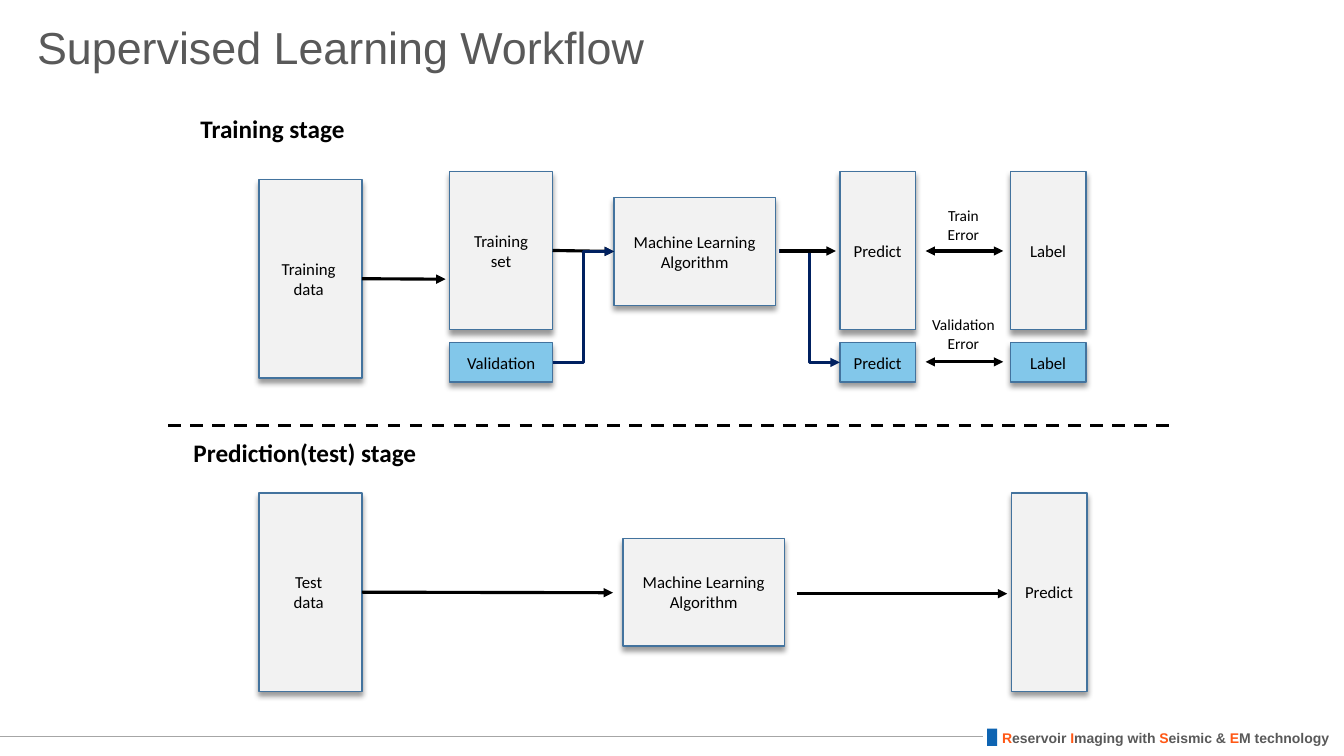
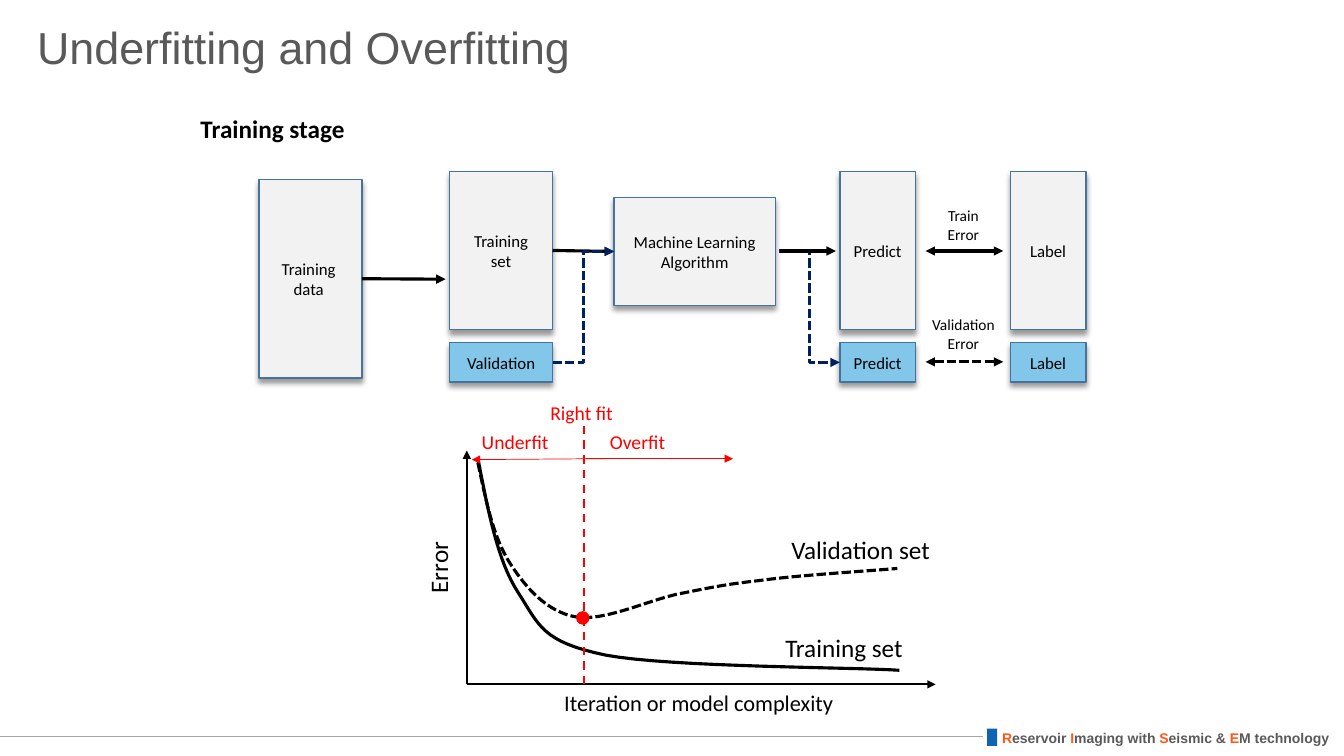
from lxml import etree
from pptx import Presentation
from pptx import util as u
from pptx.dml.color import RGBColor
from pptx.enum import dml, shapes, text
from pptx.oxml.ns import qn

PX = 9144  # EMU per px, 100 px to the inch
LEFT, RIGHT = 1, 3  # connection sites of a rectangle
CENTER = text.PP_ALIGN.CENTER
DASH, SHORT_DASH = dml.MSO_LINE.DASH, dml.MSO_LINE.SQUARE_DOT


class Theme:
    BLACK, RED, NAVY = "000000", "FF0000", "002060"
    GREY, ORANGE, BLUE, RULE = "595959", "FF5815", "0E64B2", "A6A6A6"
    PALE, SKY, EDGE = "F2F2F2", "82C7EA", "43739E"
    THICK, AXIS, BORDER, THIN = 2.25, 1.5, 1, 0.5
    # style: font values, then paragraph values, then frame values
    STYLES = {
        "title": (dict(name="Arial", size=32), GREY, dict(line_spacing=0.9),
                  dict(vertical_anchor=text.MSO_ANCHOR.MIDDLE)),
        "footer": (dict(name="Arial", size=10, bold=True), GREY, {}, dict(word_wrap=False)),
        "stage": (dict(size=18, bold=True), BLACK, {}, {}),
        "box": (dict(size=12), BLACK, dict(alignment=CENTER),
                dict(vertical_anchor=text.MSO_ANCHOR.MIDDLE)),
        "error": (dict(size=11), BLACK, dict(alignment=CENTER), {}),
        "x axis": (dict(size=16), BLACK, dict(alignment=CENTER), {}),
        "y axis": (dict(size=18), BLACK, dict(alignment=CENTER), {}),
        "curve": (dict(size=18), BLACK, {}, {}),
        "fit": (dict(size=14), RED, {}, dict(word_wrap=False)),
    }


T = Theme

# ---- Content: shared frame
FOOTER = [("R", T.ORANGE), ("eservoir ", T.GREY), ("I", T.ORANGE), ("maging with ", T.GREY),
          ("S", T.ORANGE), ("eismic & ", T.GREY), ("E", T.ORANGE), ("M technology", T.GREY)]

# ---- Content: training stage, boxes as name: (text, left, top, width, height, fill)
TRAINING_BOXES = {
    "set": ("Training\nset", 446, 170, 102, 157, T.PALE),
    "data": ("Training \ndata ", 257, 178, 102, 197, T.PALE),
    "validation": ("Validation", 446, 340, 102, 39, T.SKY),
    "label": ("Label", 1002, 170, 75, 157, T.PALE),
    "validation label": ("Label", 1002, 340, 75, 39, T.SKY),
    "predict": ("Predict", 833, 170, 75, 157, T.PALE),
    "validation predict": ("Predict", 833, 340, 75, 39, T.SKY),
    "algorithm": ("Machine Learning Algorithm", 609, 196, 160, 107, T.PALE),
}
# links as (start, end, arrowheads); an end is (box name, side) or a point
TRAINING_LINKS = [
    (("data", RIGHT), (442, 277), "tail"),
    (("set", RIGHT), ("algorithm", LEFT), "tail"),
    ((918, 249), (995, 249), "both"),
]
VALIDATION_ELBOWS = [
    (("validation", RIGHT), ("algorithm", LEFT)),
    ((773, 249), ("validation predict", LEFT)),
]
PREDICT_LINK = ((774, 249), (829, 249), "tail")
VALIDATION_ERROR_LINK = ((918, 359), (995, 359), "both")
TRAINING_LABELS = [
    ("Training stage", 189, 108, 244, 40, "stage"),
    ("Train\nError", 914, 200, 83, 47, "error"),
    ("Validation\nError", 908, 308, 95, 47, "error"),
]

# ---- Content: prediction stage
TEST_BOXES = {
    "data": ("Test \ndata ", 257, 489, 102, 197, T.PALE),
    "predict": ("Predict", 1003, 489, 75, 197, T.PALE),
    "algorithm": ("Machine Learning Algorithm", 618, 534, 160, 107, T.PALE),
}
TEST_LINKS = [
    (("data", RIGHT), (608, 588), "tail"),
    ((790, 589), (999, 589), "tail"),
]
STAGE_DIVIDER = (167, 422), (1167, 422)
TEST_LABEL = ("Prediction(test) stage", 182, 429, 335, 40, "stage")

# ---- Content: error curves, each a start point and its cubic segments
ORIGIN = (463, 679)
AXIS_ENDS = [(928, 679), (463, 447)]
TRAINING_CURVE = [(474, 455),
                  (484, 506), (493, 556), (514, 588),
                  (535, 621), (538, 637), (601, 650),
                  (664, 662), (849, 662), (892, 665)]
VALIDATION_CURVE = [(474, 459),
                    (482, 496), (489, 533), (506, 559),
                    (522, 584), (543, 607), (571, 612),
                    (599, 617), (644, 595), (674, 589),
                    (705, 583), (717, 580), (753, 576),
                    (789, 571), (840, 568), (890, 564)]
RIGHT_FIT_LINE = (579, 679), (579, 418)
FIT_ARROWS = [((581, 455), (727, 455)), ((600, 455), (468, 456))]
RIGHT_FIT_DOT = (572, 607, 12, 12)
CURVE_LABELS = [
    ("Iteration or model complexity", 494, 679, 398, 37, "x axis"),
    ("Training set", 769, 622, 174, 40, "curve"),
    ("Validation set", 775, 525, 174, 40, "curve"),
    ("Overfit", 595, 422, 76, 34, "fit"),
    ("Underfit", 468, 422, 87, 34, "fit"),
    ("Right fit", 536, 393, 83, 34, "fit"),
]
ERROR_AXIS_LABEL = ("Error", 332, 543, 205, 40, "y axis")


# ---- Helpers
def emu(*lengths):
    return [u.Emu(round(length * PX)) for length in lengths]


def apply(target, values):
    for key, value in values.items():
        setattr(target, key, value)


def add_runs(frame, paragraphs, style):
    """Write paragraphs, each a list of (words, colour or None)."""
    font, color, paragraph_format, frame_format = T.STYLES[style]
    apply(frame, {"word_wrap": True, **frame_format})
    for i, runs in enumerate(paragraphs):
        paragraph = frame.paragraphs[0] if i == 0 else frame.add_paragraph()
        apply(paragraph, paragraph_format)
        for words, run_color in runs:
            run = paragraph.add_run()
            run.text = words
            apply(run.font, {"name": "Calibri", **font, "size": u.Pt(font["size"])})
            run.font.color.rgb = RGBColor.from_string(run_color or color)


def plain(words):
    return [[(line, None)] for line in words.split("\n")]


def add_label(slide, words, x, y, w, h, style):
    label = slide.shapes.add_textbox(*emu(x, y, w, h))
    add_runs(label.text_frame, plain(words), style)
    return label


def stroke(line, color, width, dash=None):
    line.color.rgb = RGBColor.from_string(color)
    line.width = u.Pt(width)
    if dash:
        line.dash_style = dash


def add_figure(slide, kind, area, fill, edge=None):
    figure = slide.shapes.add_shape(kind, *emu(*area))
    figure.shadow.inherit = False
    figure.fill.solid()
    figure.fill.fore_color.rgb = RGBColor.from_string(fill)
    if edge:
        stroke(figure.line, edge, T.BORDER)
    else:
        figure.line.fill.background()
    return figure


def add_box(slide, words, x, y, w, h, fill):
    box = add_figure(slide, shapes.MSO_SHAPE.RECTANGLE, (x, y, w, h), fill, T.EDGE)
    effects = box._element.spPr.find(qn("a:effectLst"))
    shadow = etree.SubElement(effects, qn("a:outerShdw"), blurRad=str(u.Pt(4)),
                              dist=str(u.Pt(3)), dir="5400000", rotWithShape="0")
    shade = etree.SubElement(shadow, qn("a:srgbClr"), val=T.BLACK)
    etree.SubElement(shade, qn("a:alpha"), val="40000")
    add_runs(box.text_frame, plain(words), "box")
    return box


def add_line(slide, start, end, heads="", color=T.BLACK, width=T.THICK, dash=None,
             boxes=None, kind=shapes.MSO_CONNECTOR.STRAIGHT):
    def locate(place):
        if not isinstance(place[0], str):
            return emu(*place)
        box = boxes[place[0]]
        return [box.left + (box.width if place[1] == RIGHT else 0), box.top + box.height // 2]

    line = slide.shapes.add_connector(kind, *locate(start), *locate(end))
    for place, connect in ((start, line.begin_connect), (end, line.end_connect)):
        if isinstance(place[0], str):
            connect(boxes[place[0]], place[1])
    stroke(line.line, color, width, dash)
    ends = {"tail": ["a:tailEnd"], "both": ["a:headEnd", "a:tailEnd"]}.get(heads, [])
    for tag in ends:
        etree.SubElement(line.line._get_or_add_ln(), qn(tag), type="triangle")
    etree.SubElement(line._element.spPr, qn("a:effectLst"))


def add_curve(slide, points, dash=None, steps=16):
    path = [points[0]]
    for i in range(0, len(points) - 1, 3):
        segment = points[i:i + 4]
        for step in range(1, steps + 1):
            t = step / steps
            weights = ((1 - t) ** 3, 3 * t * (1 - t) ** 2, 3 * t * t * (1 - t), t ** 3)
            path.append(tuple(sum(k * p[axis] for k, p in zip(weights, segment))
                              for axis in (0, 1)))
    path = [emu(*point) for point in path]
    builder = slide.shapes.build_freeform(*path[0])
    builder.add_line_segments(path[1:], close=False)
    curve = builder.convert_to_shape()
    curve.shadow.inherit = False
    curve.fill.background()
    stroke(curve.line, T.BLACK, T.THICK, dash)


# ---- Slide parts
def add_slide(deck, title):
    slide = deck.slides.add_slide(deck.slide_layouts[6])
    footer = slide.shapes.add_textbox(*emu(984, 719, 348, 27))
    add_runs(footer.text_frame, [FOOTER], "footer")
    add_line(slide, (975, 731), (0, 731), color=T.RULE, width=T.THIN)
    add_figure(slide, shapes.MSO_SHAPE.RECTANGLE, (979, 723, 10, 17), T.BLUE)
    add_label(slide, title, 27, 13, 1150, 73, "title")
    return slide


def add_flow(slide, boxes, links):
    placed = {name: add_box(slide, *box) for name, box in boxes.items()}
    for link in links:
        add_line(slide, *link, boxes=placed)
    return placed


def add_training_stage(slide, validation_dash=None):
    placed = add_flow(slide, TRAINING_BOXES, TRAINING_LINKS)
    for start, end in VALIDATION_ELBOWS:
        add_line(slide, start, end, "tail", T.NAVY, dash=validation_dash, boxes=placed,
                 kind=shapes.MSO_CONNECTOR.ELBOW)
    add_line(slide, *PREDICT_LINK)
    add_line(slide, *VALIDATION_ERROR_LINK, dash=validation_dash)
    for label in TRAINING_LABELS:
        add_label(slide, *label)


def add_prediction_stage(slide):
    add_flow(slide, TEST_BOXES, TEST_LINKS)
    add_line(slide, *STAGE_DIVIDER, dash=DASH)
    add_label(slide, *TEST_LABEL)


def add_error_curves(slide):
    for end in AXIS_ENDS:
        add_line(slide, ORIGIN, end, "tail", width=T.AXIS)
    add_label(slide, *ERROR_AXIS_LABEL).rotation = 270
    add_curve(slide, TRAINING_CURVE)
    add_curve(slide, VALIDATION_CURVE, SHORT_DASH)
    for label in CURVE_LABELS:
        add_label(slide, *label)
    add_line(slide, *RIGHT_FIT_LINE, color=T.RED, width=T.AXIS, dash=DASH)
    for start, end in FIT_ARROWS:
        add_line(slide, start, end, "tail", T.RED, T.THIN)
    add_figure(slide, shapes.MSO_SHAPE.OVAL, RIGHT_FIT_DOT, T.RED, T.RED)


def main():
    deck = Presentation()
    deck.slide_width, deck.slide_height = emu(1333, 750)

    workflow = add_slide(deck, "Supervised Learning Workflow")
    add_training_stage(workflow)
    add_prediction_stage(workflow)

    fitting = add_slide(deck, "Underfitting and Overfitting")
    add_training_stage(fitting, SHORT_DASH)
    add_error_curves(fitting)

    deck.save("out.pptx")


if __name__ == "__main__":
    main()
